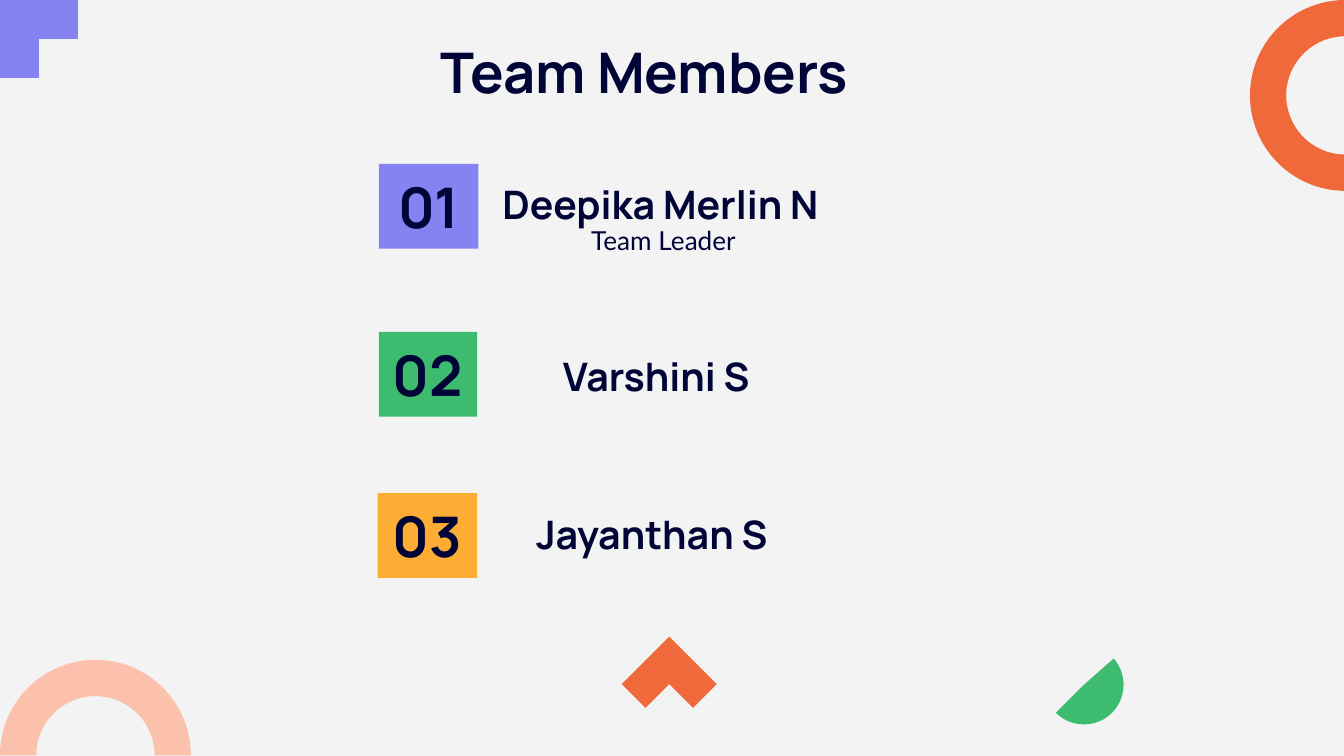
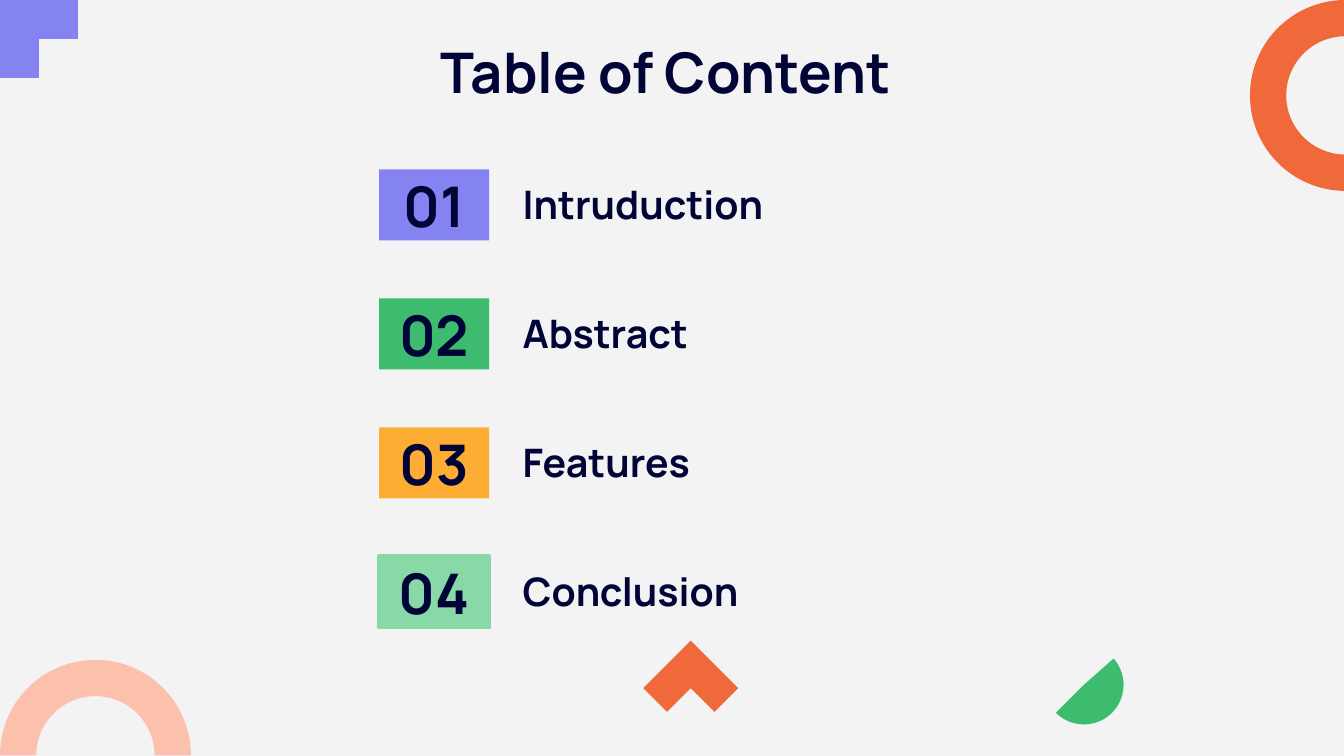
from pptx import Presentation
from pptx.dml.color import RGBColor
from pptx.enum.shapes import MSO_SHAPE
from pptx.enum.text import MSO_ANCHOR, MSO_AUTO_SIZE, PP_ALIGN
from pptx.util import Pt

PX = 9144  # EMU in one px, 100 px to the inch
TITLE_ONLY = 5
RECT, CORNER = MSO_SHAPE.RECTANGLE, MSO_SHAPE.CORNER
ARC, PIE = MSO_SHAPE.BLOCK_ARC, MSO_SHAPE.PIE
TOP, MIDDLE, BOTTOM = MSO_ANCHOR.TOP, MSO_ANCHOR.MIDDLE, MSO_ANCHOR.BOTTOM
LEFT, CENTER = PP_ALIGN.LEFT, PP_ALIGN.CENTER

COLORS = {
    "paper": "F3F3F3", "ink": "000436", "violet": "8583F2", "green": "3DBC6F",
    "amber": "FEAD34", "mint": "89D9A8", "orange": "F0693B", "peach": "FCC1AD",
}
HEADING, BODY = "Manrope", "Lato"
BADGE_COLORS = ["violet", "green", "amber", "mint"]


def color(name):
    return RGBColor.from_string(COLORS[name])


def emu(box):
    return [length * PX for length in box]


def add_figure(page, kind, box, fill, rotation=0, flips=(), adjust=()):
    """Add a flat preset shape without outline or shadow."""
    figure = page.shapes.add_shape(kind, *emu(box))
    figure.shadow.inherit = False
    figure.fill.solid()
    figure.fill.fore_color.rgb = color(fill)
    figure.line.fill.background()
    figure.rotation = rotation
    for index, value in enumerate(adjust):
        figure.adjustments[index] = value
    for flip in flips:
        figure.element.spPr.xfrm.set(flip, "1")
    return figure


def write(shape, text, size, font=HEADING, anchor=TOP, align=LEFT):
    frame = shape.text_frame
    frame.auto_size = MSO_AUTO_SIZE.NONE
    frame.word_wrap = True
    frame.vertical_anchor = anchor
    frame.margin_left = frame.margin_right = 10 * PX
    frame.margin_top = frame.margin_bottom = 10 * PX
    para = frame.paragraphs[0]
    para.alignment = align
    span = para.add_run()
    span.text = text
    span.font.name = font
    span.font.size = Pt(size)
    span.font.bold = font == HEADING
    span.font.color.rgb = color("ink")


def decorate_layout(page, layout):
    """Draw the corner ornaments and hand them to the shared layout."""
    ornaments = [
        add_figure(page, ARC, (930, 0, 142, 142), "orange", 270, ["flipH"], (108, 0, 0.19)),
        add_figure(page, ARC, (0, 491, 142, 142), "peach", adjust=(108, 0, 0.19)),
        add_figure(page, PIE, (777, 480, 59, 59), "green", 225, adjust=(56.12, 162)),
        add_figure(page, CORNER, (0, 0, 58, 58), "violet", 90),
    ]
    for ornament in ornaments:
        layout.shapes.element.append(ornament.element)


def add_title(page, text, width):
    title = page.shapes.title
    title.left, title.top, title.width, title.height = emu((318, 18, width, 63))
    write(title, text, 30)


def add_chevron(page, left, top):
    add_figure(page, CORNER, (left, top, 50, 50), "orange", 315, ["flipH", "flipV"])


def add_badge(page, box, number):
    fill = BADGE_COLORS[number - 1]
    badge = add_figure(page, RECT, box, fill)
    write(badge, f"{number:02}", 30, anchor=MIDDLE, align=CENTER)
    return badge


def add_label(page, box, text, size=21, font=HEADING, anchor=BOTTOM):
    write(page.shapes.add_textbox(*emu(box)), text, size, font, anchor)


def build_team(page):
    add_title(page, "Team Members", 364)
    members = [
        ("Deepika Merlin N", (282, 122, 74, 63), (364, 126, 272, 53)),
        ("Varshini S", (282, 247, 73, 63), (409, 254, 182, 53)),
        ("Jayanthan S", (281, 367, 74, 63), (389, 372, 219, 53)),
    ]
    for number, (name, badge_box, name_box) in enumerate(members, 1):
        add_badge(page, badge_box, number)
        add_label(page, name_box, name)
    add_label(page, (430, 157, 140, 37), "Team Leader", 14, BODY, TOP)
    add_chevron(page, 473, 484)


def build_contents(page):
    add_title(page, "Table of Content", 391)
    left, top, step, height = 282, 126, 96, 53
    topics = ["Intruduction", "Abstract", "Features", "Conclusion"]
    for number, topic in enumerate(topics, 1):
        row = top + (number - 1) * step
        badge = add_badge(page, (left, row, 82, height), number)
        add_label(page, (left + 97, row, 272, height), topic)
    badge.line.color.rgb = color("mint")
    badge.line.width = Pt(2)
    add_chevron(page, 489, 487)


def main():
    deck = Presentation()
    deck.slide_width = 1000 * PX
    deck.slide_height = deck.slide_width * 9 // 16
    backdrop = deck.slide_master.background.fill
    backdrop.solid()
    backdrop.fore_color.rgb = color("paper")
    layout = deck.slide_layouts[TITLE_ONLY]
    team, contents = [deck.slides.add_slide(layout) for _ in range(2)]
    decorate_layout(team, layout)
    build_team(team)
    build_contents(contents)
    deck.save("out.pptx")


if __name__ == "__main__":
    main()
